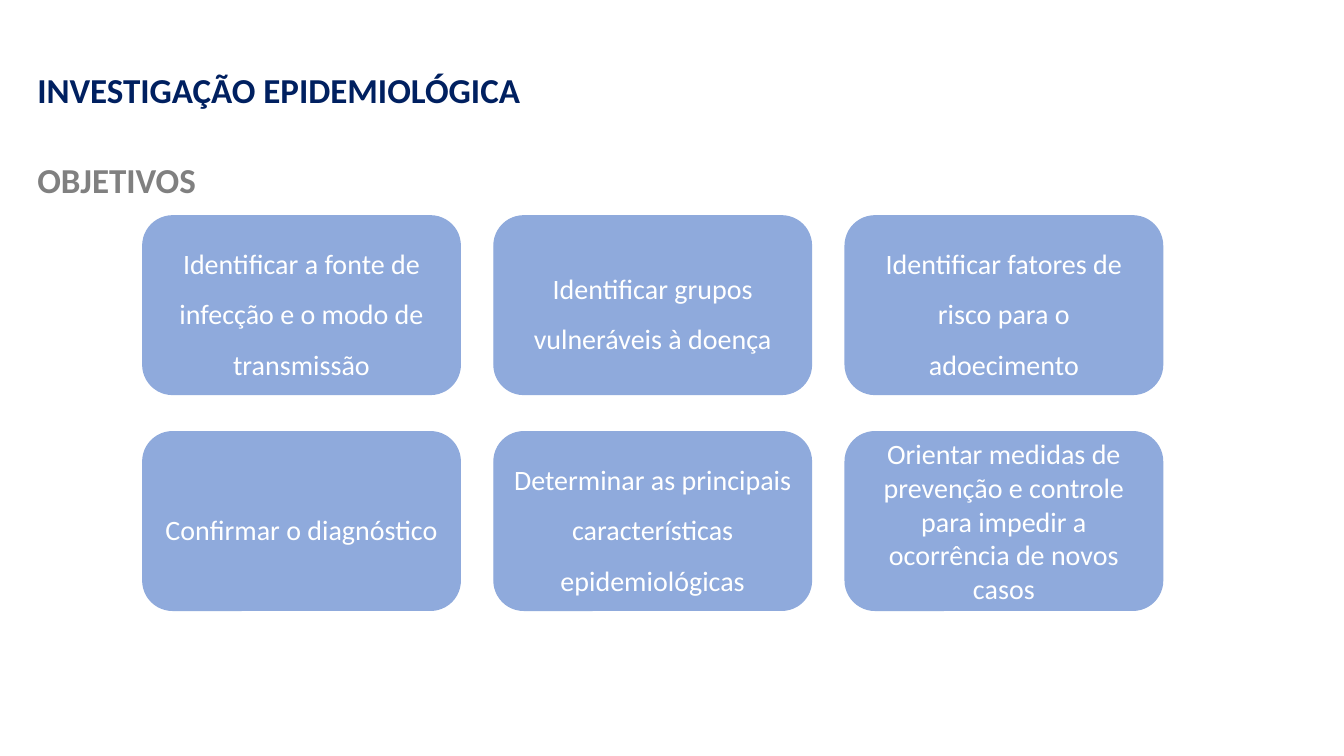
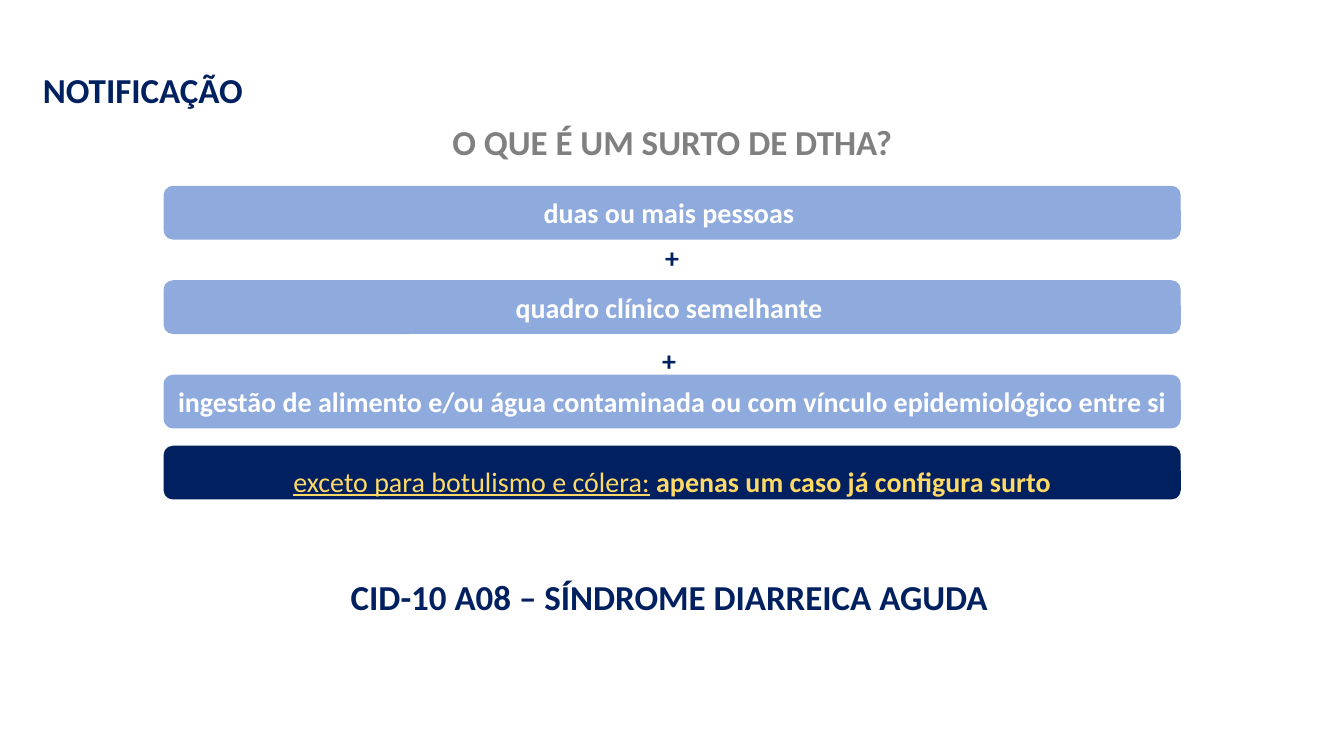
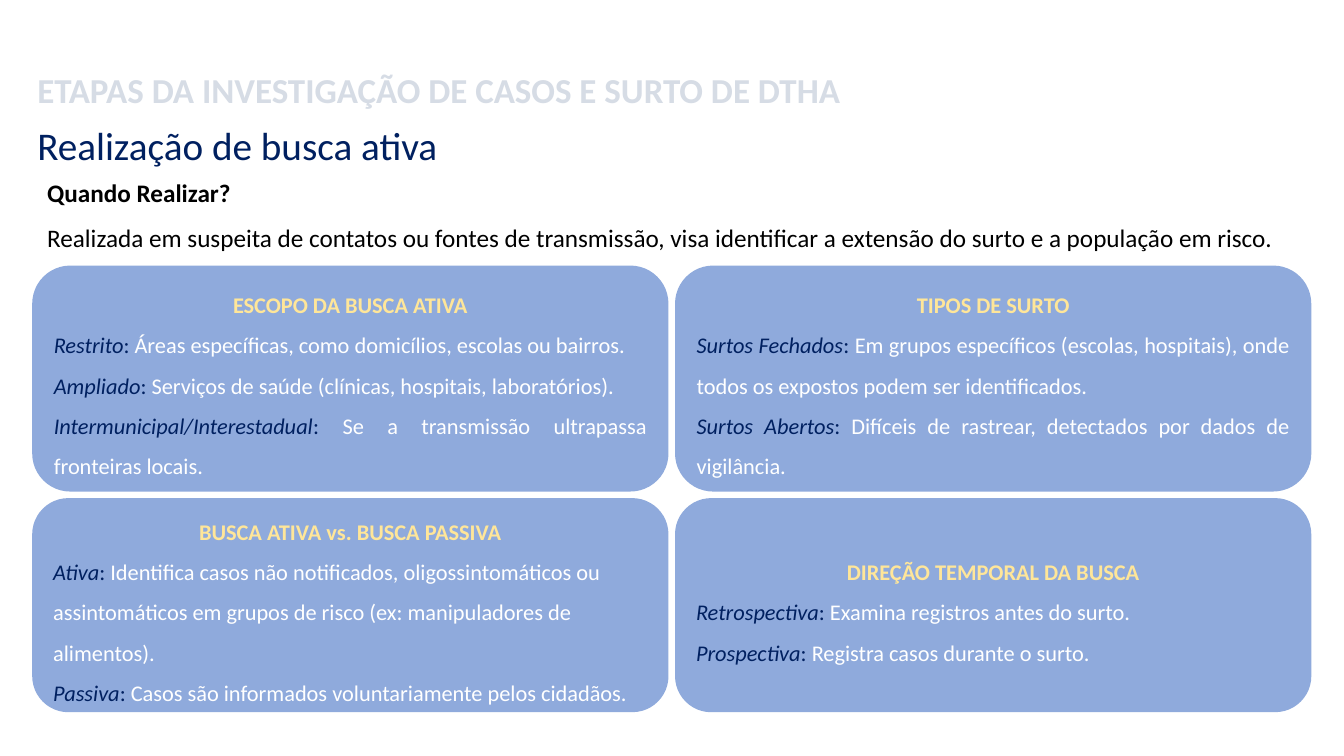
import pptx
import pptx.util
import pptx.dml.color
import pptx.enum.shapes
import pptx.enum.text
from dataclasses import dataclass

Cm = pptx.util.Cm
ALIGN = pptx.enum.text.PP_ALIGN
ANCHOR = pptx.enum.text.MSO_ANCHOR


@dataclass(frozen=True)
class Theme:
    font: str = "Calibri"
    navy: str = "002060"
    blue: str = "8FAADC"
    grey: str = "808080"
    pale: str = "D6DCE5"
    gold: str = "FFD966"
    cream: str = "FFE699"
    white: str = "FFFFFF"
    black: str = "000000"
    title: int = 25
    subtitle: int = 28
    card: int = 20
    body: int = 18
    detail: int = 16
    loose: float = 1.5


T = Theme()


def rgb(value):
    return pptx.dml.color.RGBColor.from_string(value)


def add_run(p, text, size, color, bold=False, italic=False, underline=False):
    r = p.add_run()
    r.text = text
    r.font.name = T.font
    r.font.size = pptx.util.Pt(size)
    r.font.color.rgb = rgb(color)
    r.font.bold = bold
    r.font.italic = italic
    r.font.underline = underline


def add_paragraph(tf, align=ALIGN.LEFT, spacing=None):
    first = tf.paragraphs[0]
    p = tf.add_paragraph() if first.runs else first
    p.alignment = align
    if spacing:
        p.line_spacing = spacing
    return p


def add_box(s, left, top, width, height):
    sp = s.shapes.add_textbox(Cm(left), Cm(top), Cm(width), Cm(height))
    tf = sp.text_frame
    tf.word_wrap = True
    tf.auto_size = pptx.enum.text.MSO_AUTO_SIZE.SHAPE_TO_FIT_TEXT
    return tf


def add_label(s, text, left, top, width, height, size=T.title, color=T.navy,
              bold=True, align=ALIGN.LEFT, spacing=None):
    tf = add_box(s, left, top, width, height)
    add_run(add_paragraph(tf, align, spacing), text, size, color, bold)


def add_title(s, text, width, color=T.navy, align=ALIGN.LEFT):
    add_label(s, text, 0.69, 1.6, width, 1.32, color=color, align=align)


def add_card(s, left, top, width, height, color=T.blue):
    kind = pptx.enum.shapes.MSO_SHAPE.ROUNDED_RECTANGLE
    sp = s.shapes.add_shape(kind, Cm(left), Cm(top), Cm(width), Cm(height))
    sp.shadow.inherit = False
    sp.fill.solid()
    sp.fill.fore_color.rgb = rgb(color)
    sp.line.color.rgb = rgb(color)
    sp.line.width = pptx.util.Pt(1)
    tf = sp.text_frame
    tf.word_wrap = True
    tf.vertical_anchor = ANCHOR.MIDDLE
    return tf


def add_topic_card(s, left, top, width, height, heading, items, align):
    tf = add_card(s, left, top, width, height)
    p = add_paragraph(tf, ALIGN.CENTER, T.loose)
    add_run(p, heading, T.detail, T.cream, bold=True)
    for term, meaning in items:
        p = add_paragraph(tf, align, T.loose)
        add_run(p, term, T.detail, T.navy, italic=True)
        add_run(p, ": ", T.detail, T.navy)
        add_run(p, meaning, T.detail, T.white)


def build_objectives(s):
    add_title(s, "INVESTIGAÇÃO EPIDEMIOLÓGICA", 12.83)
    add_label(s, "OBJETIVOS", 0.69, 3.33, 5, 1.7, color=T.grey, spacing=T.loose)
    objectives = [
        ("Identificar a fonte de infecção e o modo de transmissão", T.loose),
        ("Identificar grupos vulneráveis à doença", T.loose),
        ("Identificar fatores de risco para o adoecimento", T.loose),
        ("Confirmar o diagnóstico", T.loose),
        ("Determinar as principais características epidemiológicas", T.loose),
        ("Orientar medidas de prevenção e controle para impedir a "
         "ocorrência de novos casos", None),
    ]
    for i, (text, spacing) in enumerate(objectives):
        row, col = divmod(i, 3)
        tf = add_card(s, 3.6 + col * 8.85, 5.44 + row * 5.44, 8, 4.5)
        p = add_paragraph(tf, ALIGN.CENTER, spacing)
        add_run(p, text, T.card, T.white)


def build_notification(s):
    left, top, width, height, step = 4.14, 4.7, 25.6, 1.32, 2.38
    add_title(s, "NOTIFICAÇÃO", 5.82, align=ALIGN.CENTER)
    add_label(s, "O QUE É UM SURTO DE DTHA?", 1.19, 2.92, 31.5, 1.32,
              color=T.grey, align=ALIGN.CENTER)
    for text, plus_top in (("+", 5.94), ("+ ", 8.52)):
        add_label(s, text, 1.19, plus_top, 31.5, 1.11, size=T.card,
                  align=ALIGN.CENTER)
    add_label(s, "CID-10 A08 – SÍNDROME DIARREICA AGUDA", 8.59, 13.84, 16.66,
              1.7, spacing=T.loose)
    criteria = [
        "duas ou mais pessoas ",
        "quadro clínico semelhante ",
        "ingestão de alimento e/ou água contaminada ou com vínculo "
        "epidemiológico entre si",
    ]
    for i, text in enumerate(criteria):
        tf = add_card(s, left, top + i * step, width, height)
        add_run(add_paragraph(tf, ALIGN.CENTER), text, T.card, T.white, bold=True)
    tf = add_card(s, left, 11.25, width, height, T.navy)
    p = add_paragraph(tf, ALIGN.CENTER, T.loose)
    add_run(p, "exceto para botulismo e cólera:", T.card, T.gold, underline=True)
    add_run(p, " ", T.card, T.gold)
    add_run(p, "apenas um caso já configura surto", T.card, T.gold, bold=True)


def build_active_search(s):
    add_title(s, "ETAPAS DA INVESTIGAÇÃO DE CASOS E SURTO DE DTHA", 20.98, T.pale)
    add_label(s, "Realização de busca ativa", 0.69, 2.92, 19.58, 1.45,
              size=T.subtitle, bold=False)
    tf = add_box(s, 0.94, 4.01, 31.65, 2.44)
    tf.vertical_anchor = ANCHOR.MIDDLE
    p = add_paragraph(tf, spacing=T.loose)
    add_run(p, "Quando Realizar?", T.body, T.black, bold=True)
    p.add_line_break()
    add_run(p, "Realizada em suspeita de contatos ou fontes de transmissão, visa "
            "identificar a extensão do surto e a população em risco.",
            T.body, T.black)
    rows = [
        (6.71, 5.66, ALIGN.JUSTIFY, [
            ("ESCOPO DA BUSCA ATIVA", [
                ("Restrito",
                 "Áreas específicas, como domicílios, escolas ou bairros."),
                ("Ampliado",
                 "Serviços de saúde (clínicas, hospitais, laboratórios)."),
                ("Intermunicipal/Interestadual",
                 "Se a transmissão ultrapassa fronteiras locais."),
            ]),
            ("TIPOS DE SURTO", [
                ("Surtos Fechados",
                 "Em grupos específicos (escolas, hospitais), onde todos os "
                 "expostos podem ser identificados."),
                ("Surtos Abertos",
                 "Difíceis de rastrear, detectados por dados de vigilância."),
            ]),
        ]),
        (12.57, 5.36, ALIGN.LEFT, [
            ("BUSCA ATIVA vs. BUSCA PASSIVA", [
                ("Ativa",
                 "Identifica casos não notificados, oligossintomáticos ou "
                 "assintomáticos em grupos de risco (ex: manipuladores de "
                 "alimentos)."),
                ("Passiva",
                 "Casos são informados voluntariamente pelos cidadãos."),
            ]),
            ("DIREÇÃO TEMPORAL DA BUSCA", [
                ("Retrospectiva", "Examina registros antes do surto."),
                ("Prospectiva", "Registra casos durante o surto."),
            ]),
        ]),
    ]
    width, gap = 16, 0.2
    for top, height, align, topics in rows:
        for col, (heading, items) in enumerate(topics):
            add_topic_card(s, 0.83 + col * (width + gap), top, width, height,
                           heading, items, align)


def main():
    prs = pptx.Presentation()
    prs.slide_width = Cm(33.87)
    prs.slide_height = Cm(19.05)
    for build in (build_objectives, build_notification, build_active_search):
        build(prs.slides.add_slide(prs.slide_layouts[6]))
    prs.save("out.pptx")


if __name__ == "__main__":
    main()
